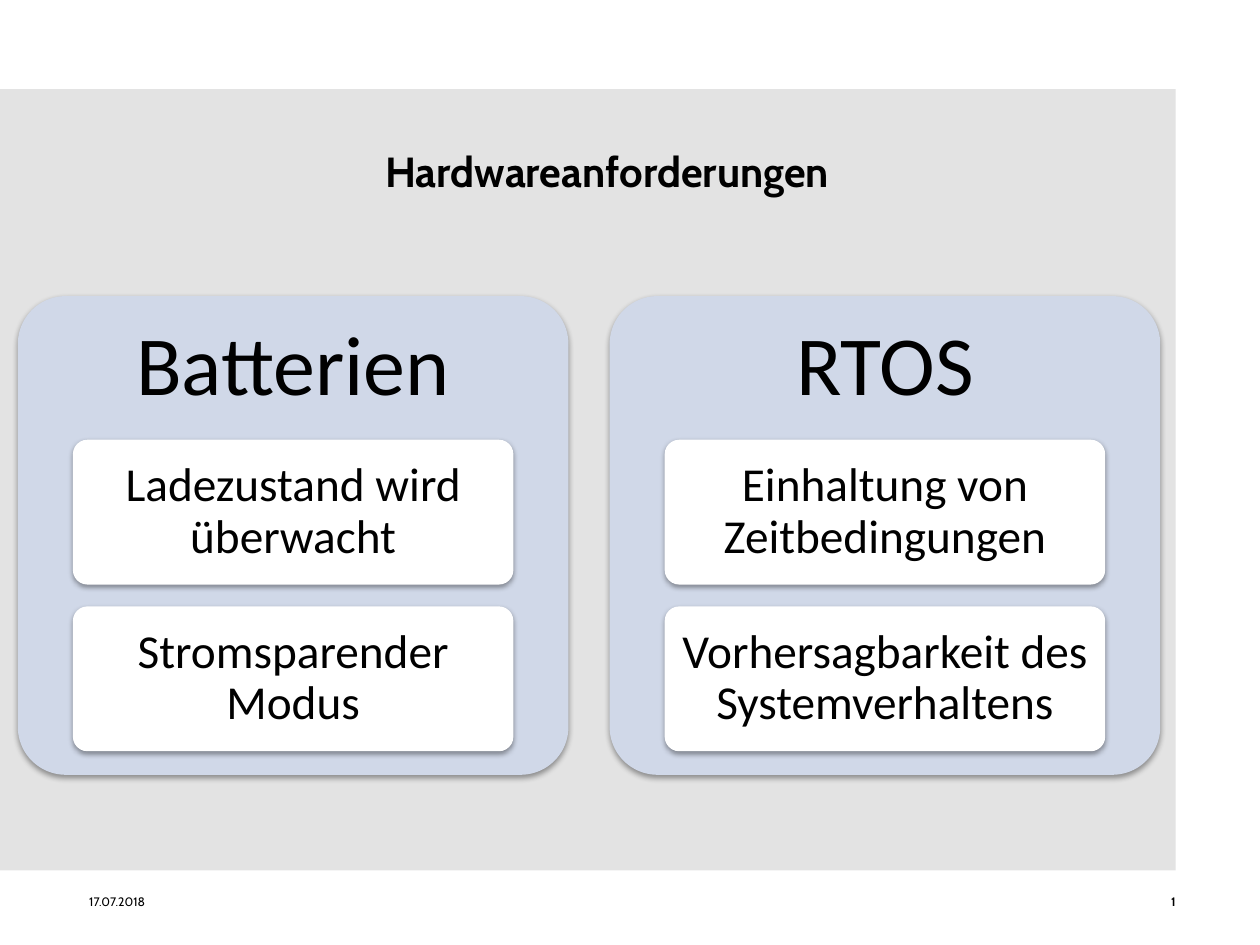
import pptx
import pptx.util
import pptx.dml.color
import pptx.enum.shapes
import pptx.enum.text
import pptx.oxml
import pptx.oxml.ns

Cm = pptx.util.Cm
Pt = pptx.util.Pt
ALIGN = pptx.enum.text.PP_ALIGN
SHAPE = pptx.enum.shapes.MSO_SHAPE

COLORS = {"backdrop": "E3E3E3", "panel": "D0D8E8", "card": "FFFFFF", "text": "000000"}
TOPICS = [
    ("Batterien", ["Ladezustand wird überwacht", "Stromsparender Modus"]),
    ("RTOS", ["Einhaltung von Zeitbedingungen", "Vorhersagbarkeit des Systemverhaltens"]),
]
SHADOW = (
    f'<a:effectLst {pptx.oxml.ns.nsdecls("a")}>'
    '<a:outerShdw blurRad="40000" dist="20000" dir="5400000" rotWithShape="0">'
    '<a:srgbClr val="000000"><a:alpha val="38000"/></a:srgbClr>'
    '</a:outerShdw></a:effectLst>'
)


def rgb(name):
    return pptx.dml.color.RGBColor.from_string(COLORS[name])


def write(sp, text, size, font, align=ALIGN.CENTER, bold=False, inset=(0, 0), spacing=None):
    tf = sp.text_frame
    tf.word_wrap = True
    tf.vertical_anchor = pptx.enum.text.MSO_ANCHOR.MIDDLE
    tf.margin_left = tf.margin_right = Cm(inset[0])
    tf.margin_top = tf.margin_bottom = Cm(inset[1])
    p = tf.paragraphs[0]
    p.text = text
    p.alignment = align
    p.line_spacing = spacing
    p.font.size = Pt(size)
    p.font.name = font
    p.font.bold = bold
    p.font.color.rgb = rgb("text")


def add_text(s, x, y, w, h, text, size, font, **style):
    sp = s.shapes.add_textbox(Cm(x), Cm(y), Cm(w), Cm(h))
    write(sp, text, size, font, **style)


def add_box(s, kind, x, y, w, h, color):
    sp = s.shapes.add_shape(kind, Cm(x), Cm(y), Cm(w), Cm(h))
    sp.fill.solid()
    sp.fill.fore_color.rgb = rgb(color)
    sp.line.fill.background()
    sp.shadow.inherit = False
    return sp


def add_raised_box(s, x, y, w, h, color):
    sp = add_box(s, SHAPE.ROUNDED_RECTANGLE, x, y, w, h, color)
    sp.adjustments[0] = 0.1
    spPr = sp._element.spPr
    spPr.replace(spPr.find(pptx.oxml.ns.qn("a:effectLst")), pptx.oxml.parse_xml(SHADOW))
    return sp


def add_panel(s, x, y, w, h, heading, items):
    add_raised_box(s, x, y, w, h, "panel")
    add_text(s, x, y, w, 0.3 * h, heading, 48, "Calibri", inset=(0.5, 0.5), spacing=0.9)
    card_h, pitch = 2.92, 3.36
    for i, item in enumerate(items):
        card = add_raised_box(s, x + 0.1 * w, y + 0.3 * h + i * pitch, 0.8 * w, card_h, "card")
        write(card, item, 27, "Calibri", inset=(0.18, 0.15), spacing=0.9)


def add_panels(s, x, y, w, h):
    panel_w = 11.1
    pitch = w - panel_w
    for i, (heading, items) in enumerate(TOPICS):
        add_panel(s, x + i * pitch, y, panel_w, h, heading, items)


def add_footer(s, x, y, w, h):
    half = 5.92
    add_text(s, x, y, half, h, "17.07.2018", 7, "Cabin", align=ALIGN.LEFT)
    add_text(s, x + w - half, y, half, h, "1", 7, "Cabin", align=ALIGN.RIGHT, bold=True)


prs = pptx.Presentation()
prs.slide_width = Cm(25.4)
prs.slide_height = Cm(19.05)
s = prs.slides.add_slide(prs.slide_layouts[6])
add_box(s, SHAPE.RECTANGLE, 0, 1.8, 23.7, 15.75, "backdrop")
add_panels(s, 0.36, 5.97, 23.03, 9.65)
add_footer(s, 1.8, 18.03, 21.9, 0.3)
add_text(s, 1.8, 2.13, 20.88, 2.62, "Hardwareanforderungen", 24, "Cabin",
         bold=True, inset=(0.25, 0.13))
prs.save("out.pptx")
